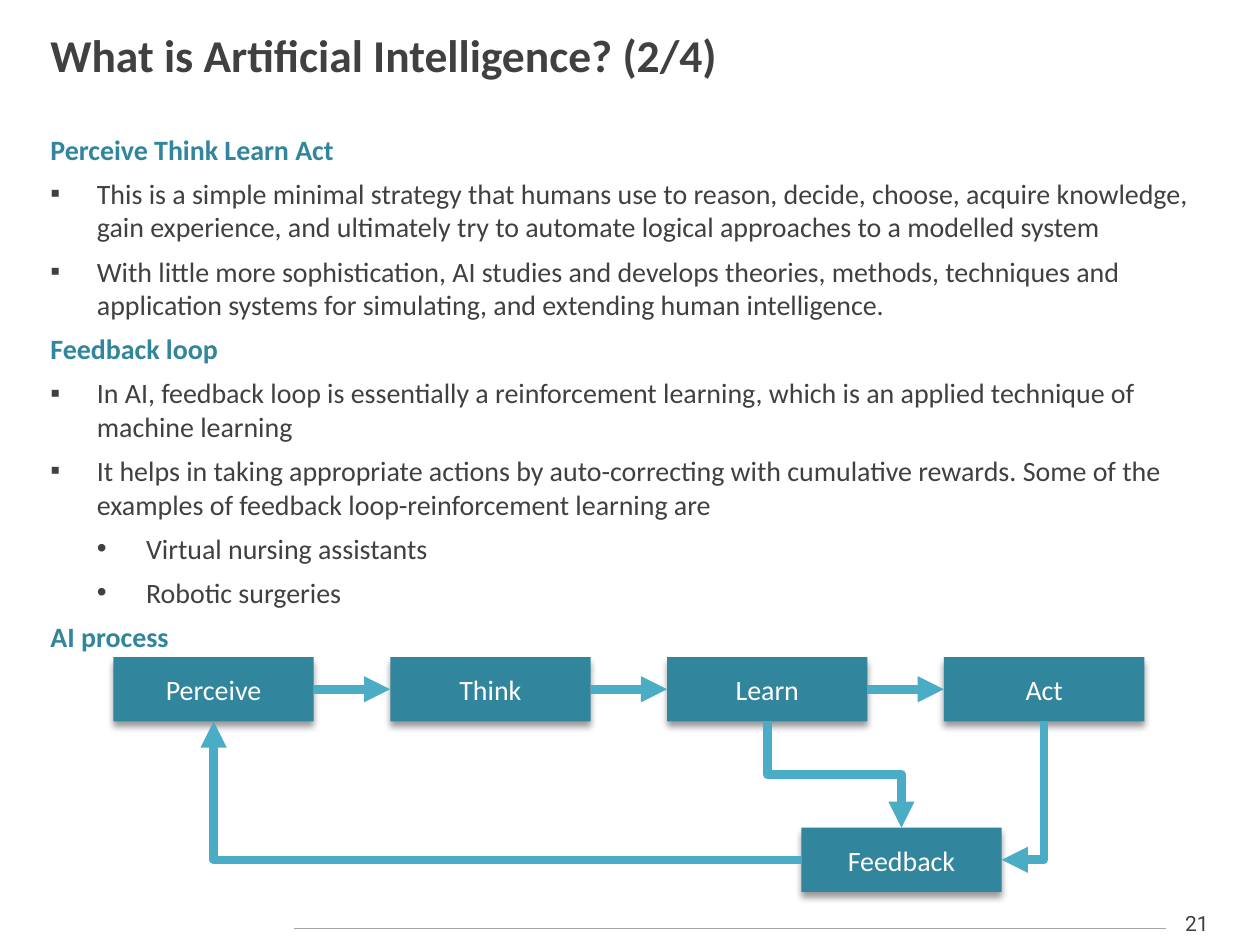
"""Builds a slide on the AI perceive-think-learn-act process with its feedback loop."""
from lxml import etree
from pptx import Presentation
from pptx.dml.color import RGBColor
from pptx.enum.shapes import MSO_CONNECTOR, MSO_SHAPE
from pptx.enum.text import MSO_ANCHOR, MSO_AUTO_SIZE, PP_ALIGN
from pptx.oxml import parse_xml
from pptx.oxml.ns import nsdecls, qn
from pptx.util import Pt

STRAIGHT, RECT = MSO_CONNECTOR.STRAIGHT, MSO_SHAPE.RECTANGLE
LEFT, CENTER = PP_ALIGN.LEFT, PP_ALIGN.CENTER
TOP, MIDDLE = MSO_ANCHOR.TOP, MSO_ANCHOR.MIDDLE
NO_FIT = MSO_AUTO_SIZE.NONE
SIDE_LEFT, SIDE_RIGHT = 1, 3

HEADING, POINT, SUBPOINT = "heading", "point", "subpoint"
LISTING = [
    (HEADING, "Perceive Think Learn Act"),
    (POINT, "This is a simple minimal strategy that humans use to reason, decide, choose, acquire "
            "knowledge, gain experience, and ultimately try to automate logical approaches to a "
            "modelled system"),
    (POINT, "With little more sophistication, AI studies and develops theories, methods, techniques "
            "and application systems for simulating, and extending human intelligence."),
    (HEADING, "Feedback loop"),
    (POINT, "In AI, feedback loop is essentially a reinforcement learning, which is an applied "
            "technique of machine learning"),
    (POINT, "It helps in taking appropriate actions by auto-correcting with cumulative rewards. "
            "Some of the examples of feedback loop-reinforcement learning are"),
    (SUBPOINT, "Virtual nursing assistants"),
    (SUBPOINT, "Robotic surgeries"),
    (HEADING, "AI process"),
]
STEPS = ["Perceive", "Think", "Learn", "Act"]
BOX_W, BOX_H = 114.5, 36.7
ROW_X, ROW_Y, STEP = 64.8, 375.5, 158.2
FEEDBACK_X, FEEDBACK_Y = 457.9, 473


def color(value):
    return RGBColor.from_string(value)


class Deck:
    font, size = "Calibri", 16
    text, accent, arrow, rule, white = "404040", "31859C", "4BACC6", "A6A6A6", "FFFFFF"
    bullets = {HEADING: (0, 0, 0, None), POINT: (0, 26.6, -26.6, "▪"),
               SUBPOINT: (1, 54.7, -28.1, "•")}

    def __init__(self, prs):
        self.slide = prs.slides.add_slide(prs.slide_layouts[1])
        self.shapes = self.slide.shapes

    def format(self, p, value, size=size, bold=False, font=font):
        for r in p.runs:
            r.font.name, r.font.size, r.font.bold = font, Pt(size), bold
            r.font.color.rgb = color(value)

    def place(self, sp, x, y, w, h, anchor):
        sp.left, sp.top, sp.width, sp.height = Pt(x), Pt(y), Pt(w), Pt(h)
        tf = sp.text_frame
        tf.word_wrap, tf.auto_size, tf.vertical_anchor = True, NO_FIT, anchor
        return tf

    def title(self, text, *box):
        tf = self.place(self.shapes.title, *box, MIDDLE)
        tf.text = text
        p = tf.paragraphs[0]
        p.alignment = LEFT
        self.format(p, self.text, 26, True)

    def body(self, items, *box):
        tf = self.place(self.slide.placeholders[1], *box, TOP)
        tf.text = "\n".join(text for _, text in items)
        for p, (kind, _) in zip(tf.paragraphs, items):
            level, margin, indent, char = self.bullets[kind]
            p.level, p.space_before = level, Pt(6)
            heading = kind == HEADING
            self.format(p, self.accent if heading else self.text, bold=heading)
            pPr = p._p.get_or_add_pPr()
            pPr.set("marL", str(Pt(margin)))
            pPr.set("indent", str(Pt(indent)))
            if char:
                etree.SubElement(pPr, qn("a:buFont"), typeface="Arial")
                etree.SubElement(pPr, qn("a:buChar"), char=char)
            else:
                etree.SubElement(pPr, qn("a:buNone"))

    def number(self, text, *box):
        sp = self.shapes.add_textbox(0, 0, 0, 0)
        tf = self.place(sp, *box, TOP)
        tf.text = text
        tf.paragraphs[0].alignment = CENTER
        self.format(tf.paragraphs[0], self.text, 12, font="Roboto")

    def box(self, text, x, y):
        sp = self.shapes.add_shape(RECT, Pt(x), Pt(y), Pt(BOX_W), Pt(BOX_H))
        sp.fill.solid()
        sp.fill.fore_color.rgb = color(self.accent)
        sp.line.fill.background()
        sp._element.spPr.append(parse_xml(
            f'<a:effectLst {nsdecls("a")}><a:outerShdw blurRad="{Pt(4)}" dist="{Pt(3)}" '
            'dir="5400000" rotWithShape="0"><a:srgbClr val="000000"><a:alpha val="40000"/>'
            '</a:srgbClr></a:outerShdw></a:effectLst>'))
        tf = sp.text_frame
        tf.text, tf.vertical_anchor = text, MIDDLE
        tf.paragraphs[0].alignment = CENTER
        self.format(tf.paragraphs[0], self.white)
        return sp

    def line(self, x1, y1, x2, y2, value=rule, width=0.75, head=False):
        cx = self.shapes.add_connector(STRAIGHT, Pt(x1), Pt(y1), Pt(x2), Pt(y2))
        cx.line.color.rgb, cx.line.width = color(value), Pt(width)
        if head:
            etree.SubElement(cx.line._get_or_add_ln(), qn("a:tailEnd"), type="triangle")
        etree.SubElement(cx._element.spPr, qn("a:effectLst"))
        return cx

    def link(self, source, target):
        cx = self.line(0, 0, 0, 0, self.arrow, 5, True)
        cx.begin_connect(source, SIDE_RIGHT)
        cx.end_connect(target, SIDE_LEFT)

    def elbow(self, start, end, preset, turn, flip=False):
        (x1, y1), (x2, y2) = start, end
        mid_x, mid_y = (x1 + x2) / 2, (y1 + y2) / 2
        w, h = abs(x2 - x1), abs(y2 - y1)
        if turn % 180:
            w, h = h, w
        cx = self.line(mid_x - w / 2, mid_y - h / 2, mid_x + w / 2, mid_y + h / 2,
                       self.arrow, 5, True)
        spPr = cx._element.spPr
        spPr.find(qn("a:prstGeom")).set("prst", preset)
        spPr.xfrm.set("rot", str(turn * 60000))
        if flip:
            spPr.xfrm.set("flipH", "1")


def main():
    prs = Presentation()
    prs.slide_width, prs.slide_height = Pt(720), Pt(540)
    deck = Deck(prs)
    deck.line(167.8, 530.6, 666, 530.6)
    deck.number("21", 666, 517, 36, 21.6)
    deck.title("What is Artificial Intelligence? (2/4)", 21.6, 8.6, 673.9, 45.4)
    deck.body(LISTING, 21.6, 72, 673.9, 307.4)

    boxes = [deck.box(text, ROW_X + i * STEP, ROW_Y) for i, text in enumerate(STEPS)]
    deck.box("Feedback", FEEDBACK_X, FEEDBACK_Y)
    for source, target in zip(boxes, boxes[1:]):
        deck.link(source, target)

    perceive, _, learn, act = [(ROW_X + i * STEP + BOX_W / 2, ROW_Y + BOX_H)
                               for i in range(len(STEPS))]
    feedback_mid = FEEDBACK_Y + BOX_H / 2
    deck.elbow(act, (FEEDBACK_X + BOX_W, feedback_mid), "bentConnector2", 90)
    deck.elbow(learn, (FEEDBACK_X + BOX_W / 2, FEEDBACK_Y), "bentConnector3", 270, True)
    deck.elbow((FEEDBACK_X, feedback_mid), perceive, "bentConnector2", 180)
    prs.save("out.pptx")


if __name__ == "__main__":
    main()
